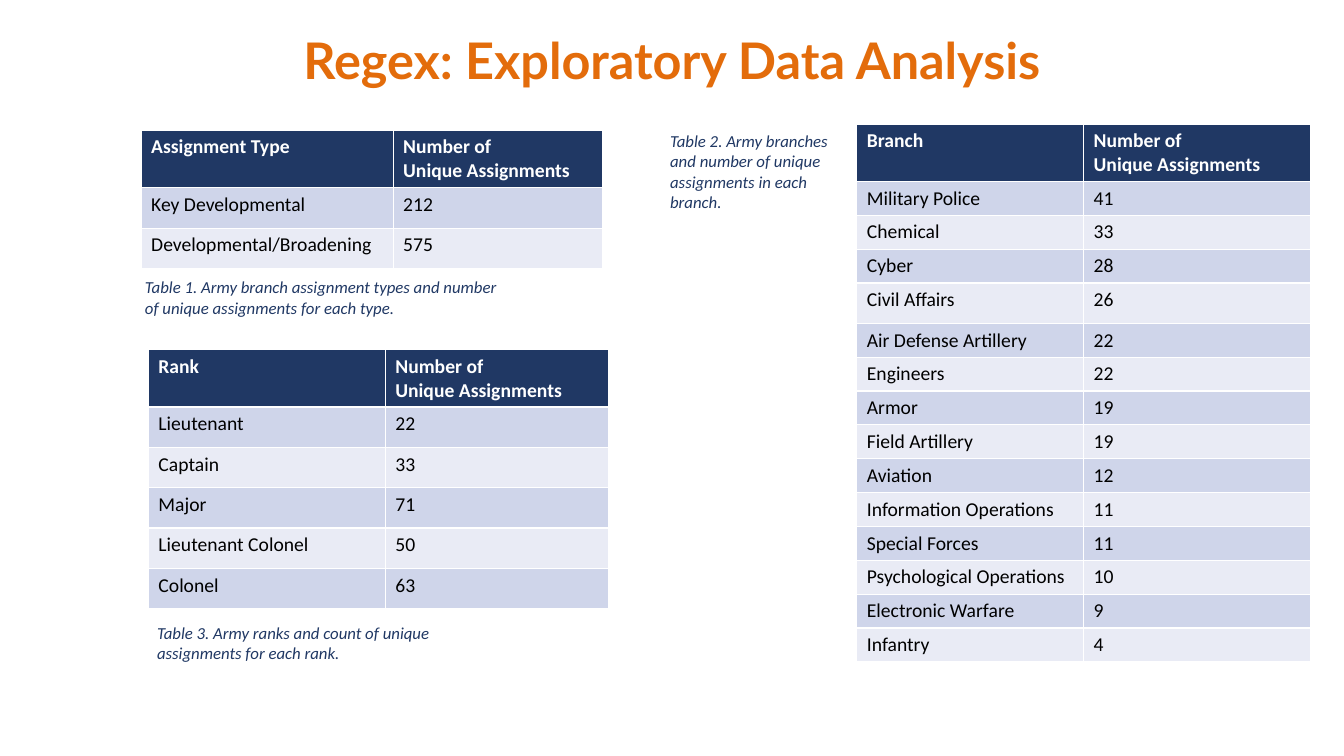
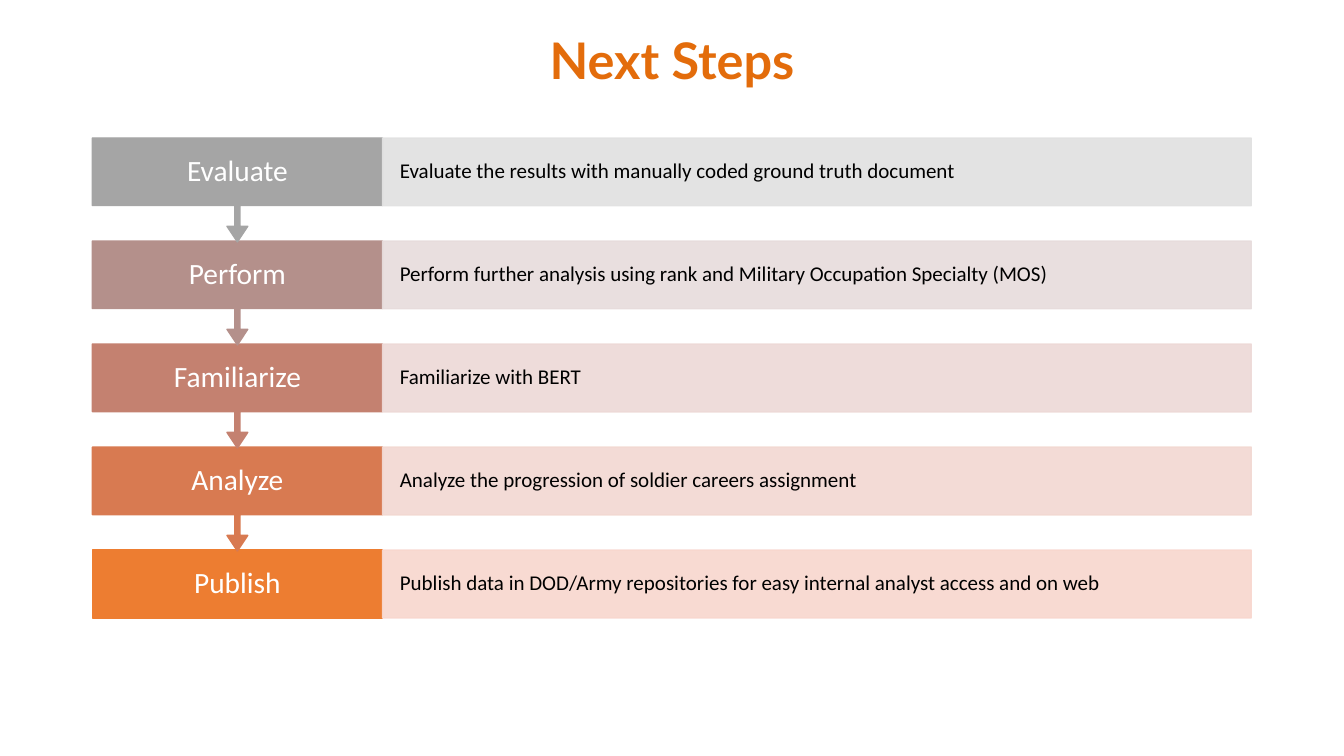
"""Build two slides: regex data tables and the next steps of the project."""
from pptx import Presentation
from pptx.dml.color import RGBColor
from pptx.enum.shapes import MSO_SHAPE
from pptx.enum.text import MSO_ANCHOR, MSO_AUTO_SIZE, PP_ALIGN
from pptx.oxml import parse_xml
from pptx.oxml.ns import nsdecls, qn
from pptx.util import Pt

COLORS = {
    "title": "E36C0B", "navy": "203864", "white": "FFFFFF", "black": "000000",
    "odd_row": "CFD5EA", "even_row": "E9EBF5",
}
TITLE_FONT, BODY_FONT = "Lato", "Calibri"
SLIDE_WIDTH, SLIDE_HEIGHT = 960, 540

COUNT_HEADING = "Number of\nUnique Assignments"
HEADER_HEIGHT, ROW_HEIGHT = 41, 28.8
TABLES = [
    {
        "at": (100.8, 92.9), "columns": (180, 149.8), "row_height": ROW_HEIGHT,
        "heading": "Assignment Type",
        "rows": [("Key Developmental", 212), ("Developmental/Broadening", 575)],
        "caption": "Table 1. Army branch assignment types and number of unique "
                   "assignments for each type.",
        "caption_at": (96.5, 194.4, 269.3, 36),
    },
    {
        "at": (106, 249.8), "columns": (169.2, 159.8), "row_height": ROW_HEIGHT,
        "heading": "Rank",
        "rows": [("Lieutenant", 22), ("Captain", 33), ("Major", 71),
                 ("Lieutenant Colonel", 50), ("Colonel", 63)],
        "caption": "Table 3. Army ranks and count of unique assignments for each rank.",
        "caption_at": (105.1, 441.4, 269.3, 36),
    },
    {
        "at": (612, 88.6), "columns": (162, 162), "row_height": 24.2,
        "heading": "Branch", "tall_row": "Civil Affairs",
        "rows": [("Military Police", 41), ("Chemical", 33), ("Cyber", 28),
                 ("Civil Affairs", 26), ("Air Defense Artillery", 22),
                 ("Engineers", 22), ("Armor", 19), ("Field Artillery", 19),
                 ("Aviation", 12), ("Information Operations", 11),
                 ("Special Forces", 11), ("Psychological Operations", 10),
                 ("Electronic Warfare", 9), ("Infantry", 4)],
        "caption": "Table 2. Army branches and number of unique assignments in each branch.",
        "caption_at": (471.6, 90, 133.9, 65.5),
    },
]

STEPS = [
    ("Evaluate", "Evaluate the results with manually coded ground truth document",
     "A5A5A5", "E1E1E1"),
    ("Perform", "Perform further analysis using rank and Military Occupation Specialty (MOS)",
     "B4908B", "E7DCDC"),
    ("Familiarize", "Familiarize with BERT", "C48170", "EDD9D7"),
    ("Analyze", "Analyze the progression of soldier careers assignment", "D87A51", "F2D8D2"),
    ("Publish", "Publish data in DOD/Army repositories for easy internal analyst access and on web",
     "ED7D31", "F8D7CE"),
]
STEP_TOP, STEP_PITCH, STEP_HEIGHT, CALLOUT_HEIGHT = 98.6, 73.6, 48.4, 74.2
STEP_LEFT, STEP_WIDTH, DETAIL_WIDTH = 66, 207.2, 620.6
CALLOUT_ADJUSTMENTS = (0.05, 0.1, 0.15, 0.65)
DETAIL_ALPHA = 90000


def style_text(frame, size, color, font=BODY_FONT, bold=False, italic=False,
               align=PP_ALIGN.LEFT, line_spacing=None):
    for paragraph in frame.paragraphs:
        paragraph.alignment = align
        paragraph.line_spacing = line_spacing
        for run in paragraph.runs:
            run.font.size, run.font.name = Pt(size), font
            run.font.bold, run.font.italic = bold, italic
            run.font.color.rgb = RGBColor.from_string(color)


def add_titled_slide(deck, text):
    slide = deck.slides.add_slide(deck.slide_layouts[5])
    title = slide.shapes.title
    title.left, title.top, title.width, title.height = map(Pt, (0, 20.2, SLIDE_WIDTH, 50.4))
    frame = title.text_frame
    frame.text = text
    frame.auto_size = MSO_AUTO_SIZE.NONE
    frame.vertical_anchor = MSO_ANCHOR.MIDDLE
    style_text(frame, 36, COLORS["title"], TITLE_FONT, bold=True,
               align=PP_ALIGN.CENTER, line_spacing=0.9)
    return slide


def add_count_table(slide, data):
    records = [(data["heading"], COUNT_HEADING)] + data["rows"]
    heights = [HEADER_HEIGHT] + [
        ROW_HEIGHT if label == data.get("tall_row") else data["row_height"]
        for label, _ in data["rows"]]
    left, top = data["at"]
    table = slide.shapes.add_table(
        len(records), 2, Pt(left), Pt(top), Pt(sum(data["columns"])), Pt(sum(heights))).table
    for column, width in zip(table.columns, data["columns"]):
        column.width = Pt(width)
    for index, (record, height) in enumerate(zip(records, heights)):
        table.rows[index].height = Pt(height)
        is_header = index == 0
        band = "navy" if is_header else "odd_row" if index % 2 else "even_row"
        for cell, value in zip(table.rows[index].cells, record):
            cell.text_frame.text = str(value)
            cell.fill.solid()
            cell.fill.fore_color.rgb = RGBColor.from_string(COLORS[band])
            style_text(cell.text_frame, 14, COLORS["white" if is_header else "black"],
                       bold=is_header)


def add_caption(slide, text, place):
    frame = slide.shapes.add_textbox(*map(Pt, place)).text_frame
    frame.word_wrap = True
    frame.auto_size = MSO_AUTO_SIZE.SHAPE_TO_FIT_TEXT
    frame.text = text
    style_text(frame, 12, COLORS["navy"], italic=True)


def add_block(slide, preset, place, fill, text, inset, size, color, align):
    block = slide.shapes.add_shape(preset, *map(Pt, place))
    block.shadow.inherit = False
    block.fill.solid()
    block.fill.fore_color.rgb = RGBColor.from_string(fill)
    block.line.color.rgb = RGBColor.from_string(fill)
    block.line.width = Pt(1)
    frame = block.text_frame
    frame.word_wrap = True
    frame.vertical_anchor = MSO_ANCHOR.MIDDLE
    frame.margin_left = frame.margin_right = Pt(inset)
    frame.text = text
    style_text(frame, size, color, align=align, line_spacing=0.9)
    return block


def add_step(slide, index, name, detail, color, tint):
    top = STEP_TOP + index * STEP_PITCH
    is_last = index == len(STEPS) - 1
    preset = MSO_SHAPE.RECTANGLE if is_last else MSO_SHAPE.DOWN_ARROW_CALLOUT
    height = STEP_HEIGHT if is_last else CALLOUT_HEIGHT
    label = add_block(slide, preset, (STEP_LEFT, top, STEP_WIDTH, height), color, name,
                      14.4, 21, COLORS["white"], PP_ALIGN.CENTER)
    if not is_last:
        for position, value in enumerate(CALLOUT_ADJUSTMENTS):
            label.adjustments[position] = value
    description = add_block(
        slide, MSO_SHAPE.RECTANGLE, (STEP_LEFT + STEP_WIDTH, top, DETAIL_WIDTH, STEP_HEIGHT),
        tint, detail, 12.4, 15, COLORS["black"], PP_ALIGN.LEFT)
    for paint in description.element.spPr.iter(qn("a:srgbClr")):
        paint.append(parse_xml(f'<a:alpha {nsdecls("a")} val="{DETAIL_ALPHA}"/>'))


def main():
    deck = Presentation()
    deck.slide_width, deck.slide_height = Pt(SLIDE_WIDTH), Pt(SLIDE_HEIGHT)
    analysis = add_titled_slide(deck, "Regex: Exploratory Data Analysis")
    for data in TABLES:
        add_count_table(analysis, data)
        add_caption(analysis, data["caption"], data["caption_at"])
    next_steps = add_titled_slide(deck, "Next Steps")
    for index, step in reversed(list(enumerate(STEPS))):
        add_step(next_steps, index, *step)
    deck.save("out.pptx")


if __name__ == "__main__":
    main()
